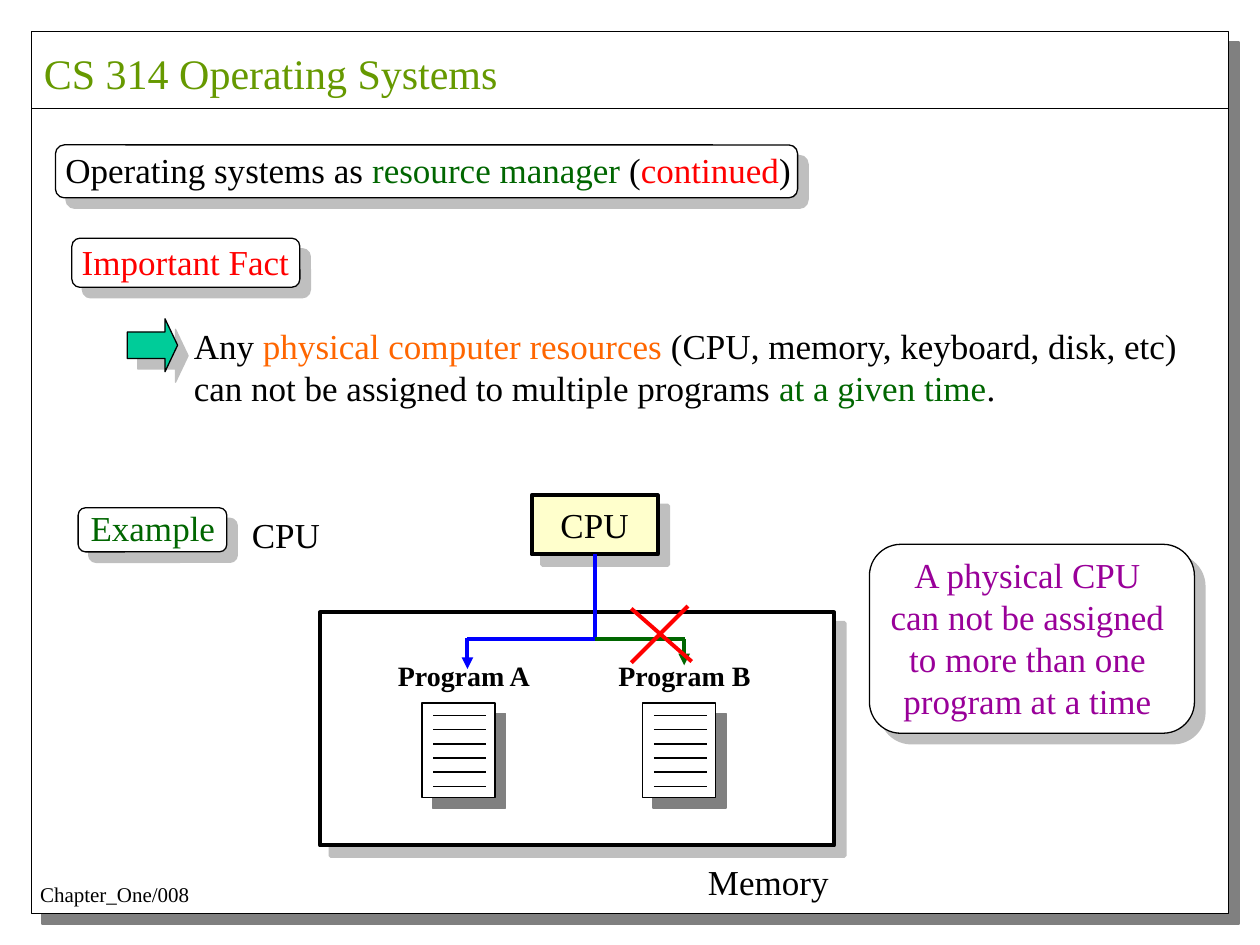
from dataclasses import dataclass

from lxml import etree
from pptx import Presentation
from pptx.dml.color import RGBColor
from pptx.enum.shapes import MSO_CONNECTOR as CONN, MSO_SHAPE as SHAPE
from pptx.enum.text import MSO_AUTO_SIZE as FIT, PP_ALIGN as ALIGN
from pptx.oxml.ns import qn
from pptx.util import Inches, Pt


@dataclass(frozen=True)
class Theme:
    """Colours, type sizes and line widths of the slide."""
    font: str = "Times New Roman"
    black: str = "000000"
    white: str = "FFFFFF"
    shade: str = "808080"
    green: str = "006600"
    red: str = "FF0000"
    blue: str = "0000FF"
    orange: str = "FF6600"
    purple: str = "990099"
    olive: str = "669900"
    teal: str = "00CC99"
    cream: str = "FFFFCC"
    title: int = 24
    body: int = 20
    label: int = 16
    small: int = 12
    thin: float = 0.75
    thick: float = 2.25


T = Theme()


@dataclass(frozen=True)
class Box:
    """A rectangle in inches."""
    x: float
    y: float
    w: float
    h: float

    def sub(self, dx, dy, w, h):
        """Return a box offset from this one's top left corner."""
        return Box(self.x + dx, self.y + dy, w, h)

    def emu(self):
        """Return left, top, width and height as lengths."""
        return [Inches(v) for v in (self.x, self.y, self.w, self.h)]


def add_panel(s, box, kind=SHAPE.RECTANGLE, fill=T.white, width=T.thin, opacity=50):
    """Add an outlined shape with an offset shadow."""
    sp = s.shapes.add_shape(kind, *box.emu())
    sp.fill.solid()
    sp.fill.fore_color.rgb = RGBColor.from_string(fill)
    sp.line.color.rgb = RGBColor.from_string(T.black)
    sp.line.width = Pt(width)
    sp.shadow.inherit = False
    effects = sp._element.spPr.find(qn("a:effectLst"))
    shadow = etree.SubElement(effects, qn("a:outerShdw"), dist=str(Pt(8.5)),
                              dir="2700000", algn="ctr", rotWithShape="0")
    color = etree.SubElement(shadow, qn("a:srgbClr"), val=T.shade)
    etree.SubElement(color, qn("a:alpha"), val=str(opacity * 1000))
    return sp


def add_text(s, box, *lines, size=T.body, color=T.black, bold=False, align=ALIGN.LEFT):
    """Add lines of text, each a string or a list of (text, colour) runs."""
    tf = s.shapes.add_textbox(*box.emu()).text_frame
    tf.word_wrap = False
    tf.auto_size = FIT.SHAPE_TO_FIT_TEXT
    for i, line in enumerate(lines):
        p = tf.add_paragraph() if i else tf.paragraphs[0]
        p.alignment = align
        for text, ink in [(line, color)] if isinstance(line, str) else line:
            r = p.add_run()
            r.text = text
            r.font.name = T.font
            r.font.size = Pt(size)
            r.font.bold = bold
            r.font.color.rgb = RGBColor.from_string(ink)


def add_line(s, box, start, end, color=T.black, width=T.thick, arrow=False):
    """Add a straight line between two points measured from the box."""
    points = (box.x + start[0], box.y + start[1], box.x + end[0], box.y + end[1])
    c = s.shapes.add_connector(CONN.STRAIGHT, *[Inches(v) for v in points])
    c.line.color.rgb = RGBColor.from_string(color)
    c.line.width = Pt(width)
    if arrow:
        etree.SubElement(c.line._get_or_add_ln(), qn("a:tailEnd"), type="triangle")
    etree.SubElement(c._element.spPr, qn("a:effectLst"))


def add_frame(s, box):
    """Draw the page frame with its heading, rule and page label."""
    add_panel(s, box, opacity=100)
    add_line(s, box, (0, 0.61), (box.w, 0.61), width=T.thin)
    add_text(s, box.sub(0, 0.08, 3.8, 0.5), "CS 314 Operating Systems",
             size=T.title, color=T.olive)
    add_text(s, box.sub(-0.03, 6.7, 1.42, 0.3), "Chapter_One/008", size=T.small)


def add_tag(s, box, text_box, *lines, **fmt):
    """Draw a rounded tag with text placed over it."""
    add_panel(s, box, SHAPE.ROUNDED_RECTANGLE)
    add_text(s, text_box, *lines, **fmt)


def add_fact(s, box):
    """Draw the block arrow and the statement beside it."""
    add_text(s, box.sub(0.43, 0, 8.04, 0.77),
             [("Any ", T.black), ("physical computer resources", T.orange),
              (" (CPU, memory, keyboard, disk, etc)", T.black)],
             [("can not be assigned to multiple programs ", T.black),
              ("at a given time", T.green), (".", T.black)])
    sp = add_panel(s, box.sub(0, 0, 0.4, 0.42), SHAPE.RIGHT_ARROW, T.teal)
    sp.adjustments[1] = 0.25


def add_program(s, box, name):
    """Draw a program name above a page of ruled lines."""
    add_text(s, box, name, size=T.label, bold=True)
    page = box.sub(0.29, 0.4, 0.58, 0.75)
    add_panel(s, page, opacity=100)
    for i in range(6):
        y = 0.1 + i * 0.56 / 5
        add_line(s, page, (0.09, y), (0.51, y), width=T.thin)


def add_links(s, box):
    """Draw the allowed link, the refused link and the cross over it."""
    mid, right, turn = 1.01, 1.72, 0.67
    add_line(s, box, (mid, 0), (mid, turn + 0.01), T.blue)
    add_line(s, box, (mid, turn), (0, turn), T.blue)
    add_line(s, box, (0, turn - 0.01), (0, 0.91), T.blue, arrow=True)
    add_line(s, box, (mid, turn), (right + 0.01, turn), T.green)
    add_line(s, box, (right, turn), (right, 0.88), T.green, arrow=True)
    add_line(s, box, (1.3, 0.43), (1.78, 0.85), T.red)
    add_line(s, box, (1.3, 0.86), (1.75, 0.41), T.red)


def add_diagram(s, box):
    """Draw the CPU, the memory with two programs and their links."""
    add_panel(s, box.sub(0, 0.93, 4.08, 1.85), width=T.thick)
    add_text(s, box.sub(2.98, 2.85, 1.16, 0.44), "Memory")
    add_panel(s, box.sub(1.68, 0, 1, 0.47), fill=T.cream, width=T.thick)
    add_text(s, box.sub(1.81, 0.02, 0.74, 0.44), "CPU")
    for i, name in enumerate(("Program A", "Program B")):
        add_program(s, box.sub(0.52 + i * 1.75, 1.25, 1.26, 0.37), name)
    add_links(s, box.sub(1.17, 0.47, 1.78, 0.91))


def main():
    """Build and save the slide."""
    prs = Presentation()
    prs.slide_width, prs.slide_height = Inches(10), Inches(7.5)
    s = prs.slides.add_slide(prs.slide_layouts[6])
    add_frame(s, Box(0.25, 0.25, 9.5, 7))
    add_tag(s, Box(0.44, 1.15, 5.89, 0.42), Box(0.42, 1.13, 5.98, 0.44),
            [("Operating systems as ", T.black), ("resource manager", T.green),
             (" (", T.black), ("continued", T.red), (")", T.black)])
    add_tag(s, Box(0.57, 1.89, 1.81, 0.39), Box(0.55, 1.86, 1.88, 0.44),
            "Important Fact", color=T.red)
    add_fact(s, Box(1.01, 2.53, 8.47, 0.77))
    add_tag(s, Box(0.62, 4.03, 1.18, 0.35), Box(0.62, 3.97, 1.19, 0.44),
            "Example", color=T.green)
    add_text(s, Box(1.9, 4.03, 0.74, 0.44), "CPU")
    add_diagram(s, Box(2.54, 3.93, 4.14, 3.29))
    add_tag(s, Box(6.9, 4.32, 2.58, 1.5), Box(6.97, 4.34, 2.37, 1.44),
            "A physical CPU", "can not be assigned", "to more than one",
            "program at a time", color=T.purple, align=ALIGN.CENTER)
    prs.save("out.pptx")


if __name__ == "__main__":
    main()
